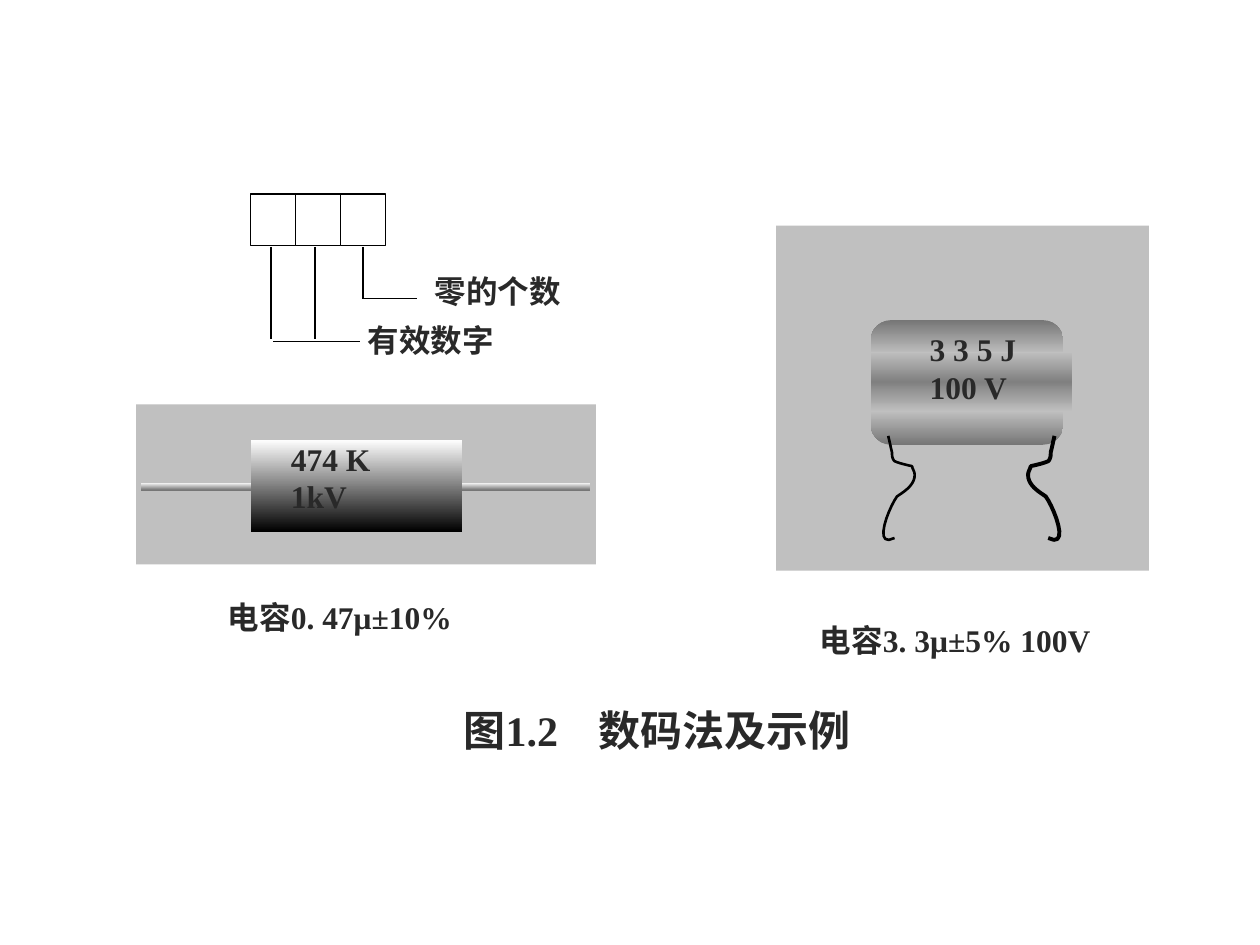
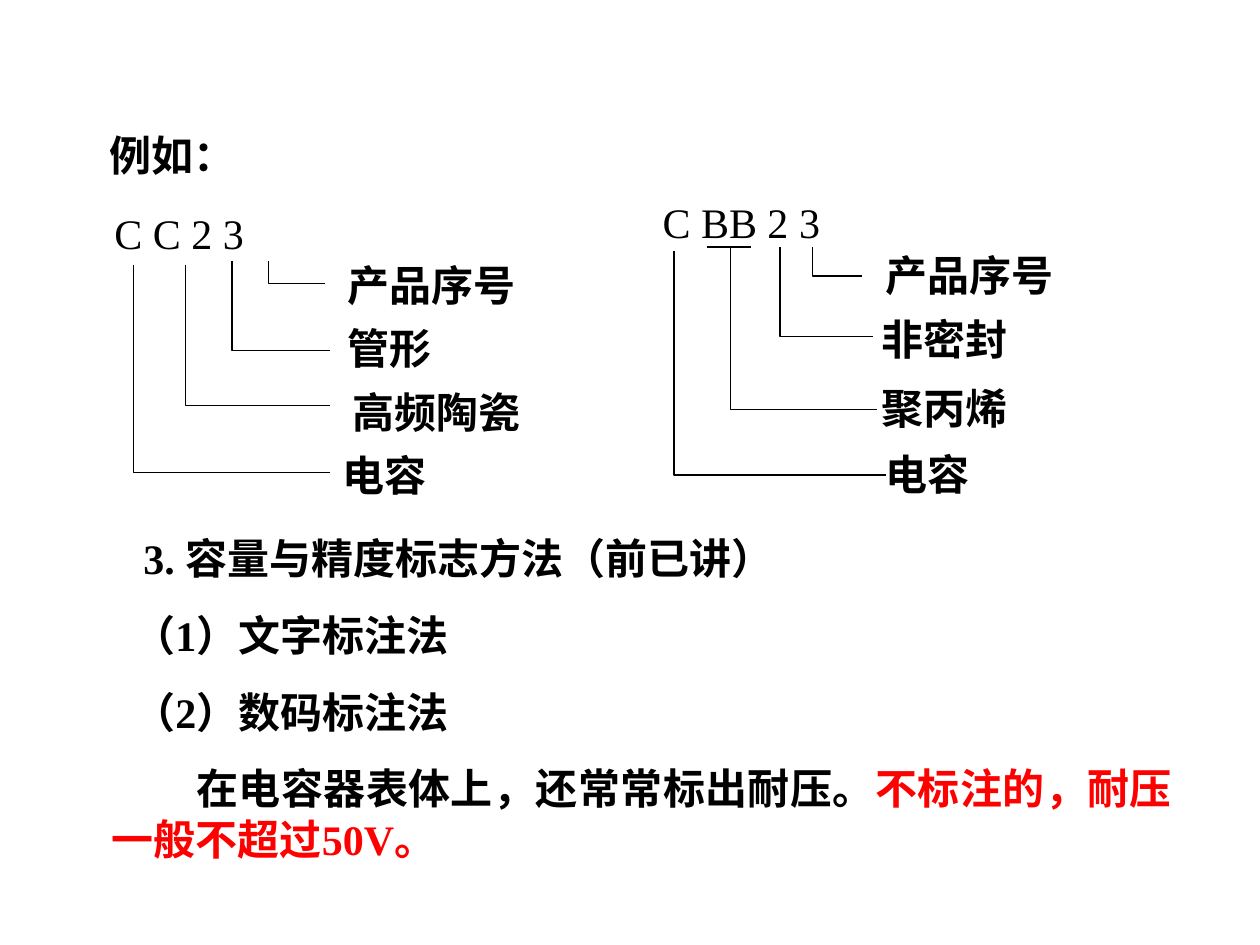
"""Builds two slides on capacitor number codes and type designations."""
import dataclasses

import pptx
import pptx.dml.color
import pptx.enum.dml
import pptx.enum.shapes
import pptx.enum.text
import pptx.oxml
import pptx.oxml.ns
import pptx.util

Inches = pptx.util.Inches
Pt = pptx.util.Pt
Align = pptx.enum.text.PP_ALIGN
Shape = pptx.enum.shapes.MSO_SHAPE


@dataclasses.dataclass(frozen=True)
class Theme:
    """Colours, type and line sizes shared by both slides."""
    font: str = "Times New Roman"
    ink: str = "000000"
    text: str = "292929"
    accent: str = "FF0000"
    paper: str = "FFFFFF"
    panel: str = "C0C0C0"
    steel: str = "767676"
    band: str = "808080"
    label_size: int = 18
    body_size: int = 24
    hairline: float = 0.75
    paragraph_gap: int = 15


THEME = Theme()

CAPTION = ("图1.2\t数码法及示例", (3.58, 5.54, 3.58, 0.56))
CAPTION_TAB = 1.07
DIGIT_ROW = {"left": 1.99, "top": 1.54, "size": (0.36, 0.41), "pitch": 0.355, "count": 3}
DIGIT_LINES = [
    (2.88, 1.96, 2.88, 2.37),
    (2.88, 2.37, 3.31, 2.37),
    (2.15, 1.96, 2.15, 2.69),
    (2.5, 1.96, 2.5, 2.69),
    (2.17, 2.71, 2.86, 2.71),
]
CAPACITOR_PARTS = [
    (Shape.RECTANGLE, (1.08, 3.21, 3.65, 1.27), [THEME.panel]),
    (Shape.RECTANGLE, (1.12, 3.83, 3.56, 0.06), [THEME.paper, THEME.steel]),
    (Shape.RECTANGLE, (1.99, 3.49, 1.68, 0.73), [THEME.paper, THEME.ink]),
    (Shape.RECTANGLE, (6.16, 1.79, 2.96, 2.74), [THEME.panel]),
    (Shape.ROUNDED_RECTANGLE, (6.91, 2.54, 1.53, 0.99), [THEME.steel, THEME.paper, THEME.steel]),
    (Shape.RECTANGLE, (6.91, 2.79, 1.6, 0.48), [THEME.panel, THEME.band, THEME.panel]),
]
LEAD_AXIS = 7.71
LEAD_WIDTHS = {1: 2.25, -1: 1.5}
LEAD_CURVE = [
    (8.37, 3.46), (8.36, 3.5), (8.35, 3.55), (8.34, 3.59),
    (8.34, 3.61), (8.34, 3.64), (8.32, 3.66),
    (8.28, 3.68), (8.18, 3.7), (8.18, 3.7),
    (8.18, 3.72), (8.16, 3.74), (8.16, 3.77),
    (8.16, 3.85), (8.24, 3.9), (8.3, 3.94),
    (8.36, 4.02), (8.5, 4.36), (8.32, 4.27),
]
CODE_LABELS = [
    (["零的个数"], (3.35, 2.11, 1.28, 0.49)),
    (["有效数字"], (2.82, 2.5, 1.26, 0.54)),
    (["474 K", "1kV"], (2.21, 3.44, 1.19, 0.82)),
    (["电容0. 47μ±10%"], (1.71, 4.7, 2.27, 0.56)),
    (["3 3 5 J", "100 V"], (7.28, 2.57, 1.23, 0.88)),
    (["电容3. 3μ±5% 100V"], (6.41, 4.88, 2.66, 0.6)),
]

EXAMPLE_TITLE = ("例如：", (0.77, 0.98, 1.69, 0.5))
DESIGNATIONS = [
    {"code": "C C 2 3", "at": (0.81, 1.6, 2.31, 0.5), "fields": [
        ("产品序号", (2.66, 2.01), (2.13, 2.07, 2.58, 2.25)),
        ("管形", (2.66, 2.51), (1.84, 2.07, 2.62, 2.78)),
        ("高频陶瓷", (2.7, 3.02), (1.47, 2.1, 2.62, 3.22)),
        ("电容", (2.62, 3.52), (1.06, 2.1, 2.62, 3.75)),
    ]},
    {"code": "C BB 2 3", "at": (5.16, 1.51, 3.81, 0.5), "fields": [
        ("产品序号", (6.93, 1.93), (6.45, 1.96, 6.84, 2.19)),
        ("非密封", (6.9, 2.44), (6.19, 1.96, 6.93, 2.67)),
        ("聚丙烯", (6.9, 2.99), (5.8, 1.96, 6.96, 3.25)),
        ("电容", (6.93, 3.51), (5.35, 1.99, 7.03, 3.77)),
    ]},
]
FIELD_SIZE = (1.6, 0.5)
MATERIAL_UNDERLINE = (5.61, 1.96, 5.96, 1.96)
METHODS_AT = (0.79, 4.18, 8.61, 2.73)
METHODS = [
    (0.25, [("3. 容量与精度标志方法（前已讲）", THEME.ink)]),
    (0.17, [("（1）文字标注法", THEME.ink)]),
    (0.17, [("（2）数码标注法", THEME.ink)]),
    (0.67, [("在电容器表体上，还常常标出耐压。", THEME.ink),
            ("不标注的，耐压一般不超过50V。", THEME.accent)]),
]


def rgb(color):
    """Turns a hex string into a colour object."""
    return pptx.dml.color.RGBColor.from_string(color)


def inches(values):
    """Converts plain numbers to lengths."""
    return [Inches(value) for value in values]


def style_paragraph(para, size, color, bold=True, align=Align.LEFT):
    """Sets the type of a whole paragraph."""
    para.alignment = align
    para.font.name = THEME.font
    para.font.size = Pt(size)
    para.font.bold = bold
    if color:
        para.font.color.rgb = rgb(color)


def add_text(page, lines, at, size, color, bold=True):
    """Adds a wrapped text box with one paragraph per line."""
    box = page.shapes.add_textbox(*inches(at))
    box.text_frame.word_wrap = True
    box.text_frame.text = "\n".join(lines)
    for para in box.text_frame.paragraphs:
        style_paragraph(para, size, color, bold)


def place_title(page, text, at, color, tab=None):
    """Moves and formats the title placeholder."""
    title = page.shapes.title
    title.left, title.top, title.width, title.height = inches(at)
    frame = title.text_frame
    frame.word_wrap = True
    frame.auto_size = pptx.enum.text.MSO_AUTO_SIZE.NONE
    frame.vertical_anchor = pptx.enum.text.MSO_ANCHOR.TOP
    frame.text = text
    para = frame.paragraphs[0]
    if tab:
        tabs = pptx.oxml.ns.qn("a:tabLst")
        stops = para._p.get_or_add_pPr().makeelement(tabs, {})
        para._p.get_or_add_pPr().append(stops)
        stop = stops.makeelement(pptx.oxml.ns.qn("a:tab"), {"pos": str(Inches(tab)), "algn": "l"})
        stops.append(stop)
    style_paragraph(para, THEME.body_size, color)


def paint(shape, colors):
    """Fills a shape with one colour or an even vertical gradient."""
    if len(colors) == 1:
        shape.fill.solid()
        shape.fill.fore_color.rgb = rgb(colors[0])
        return
    shape.fill.gradient()
    shape.fill.gradient_angle = 270
    stops = shape._element.spPr.find(".//" + pptx.oxml.ns.qn("a:gsLst"))
    for stop in list(stops):
        stops.remove(stop)
    for index, color in enumerate(colors):
        position = 100000 * index // (len(colors) - 1)
        stops.append(pptx.oxml.parse_xml(
            f'<a:gs {pptx.oxml.ns.nsdecls("a")} pos="{position}"><a:srgbClr val="{color}"/></a:gs>'))


def draw_outline(shape, width=THEME.hairline):
    """Gives a shape or connector a plain dark line."""
    shape.line.color.rgb = rgb(THEME.ink)
    shape.line.width = Pt(width)


def add_block(page, kind, at, colors):
    """Adds a filled preset shape without line or shadow."""
    block = page.shapes.add_shape(kind, *inches(at))
    block.shadow.inherit = False
    block.line.fill.background()
    paint(block, colors)
    return block


def add_line(page, ends):
    """Adds a straight hairline."""
    kind = pptx.enum.shapes.MSO_CONNECTOR.STRAIGHT
    line = page.shapes.add_connector(kind, *inches(ends))
    draw_outline(line)
    effects = pptx.oxml.ns.qn("a:effectLst")
    properties = line._element.spPr
    properties.append(properties.makeelement(effects, {}))


def add_open_path(page, points, width=THEME.hairline):
    """Adds an unfilled open outline through the points."""
    start, *rest = [inches(point) for point in points]
    builder = page.shapes.build_freeform(*start)
    builder.add_line_segments(rest, close=False)
    outline = builder.convert_to_shape()
    outline.shadow.inherit = False
    outline.fill.background()
    draw_outline(outline, width)


def sample_curve(controls, steps=10):
    """Returns points along a chain of cubic curves."""
    points = [controls[0]]
    for first in range(0, len(controls) - 1, 3):
        segment = controls[first:first + 4]
        for step in range(1, steps + 1):
            t = step / steps
            weights = ((1 - t) ** 3, 3 * t * (1 - t) ** 2, 3 * t ** 2 * (1 - t), t ** 3)
            points.append(tuple(
                sum(weight * point[axis] for weight, point in zip(weights, segment))
                for axis in (0, 1)))
    return points


def build_number_code(page):
    """Draws the digit code and the two marked capacitors."""
    for index in range(DIGIT_ROW["count"]):
        left = DIGIT_ROW["left"] + index * DIGIT_ROW["pitch"]
        at = (left, DIGIT_ROW["top"], *DIGIT_ROW["size"])
        draw_outline(add_block(page, Shape.RECTANGLE, at, [THEME.paper]))
    for ends in DIGIT_LINES:
        add_line(page, ends)
    for kind, at, colors in CAPACITOR_PARTS:
        add_block(page, kind, at, colors)
    lead = sample_curve(LEAD_CURVE)
    for side, width in LEAD_WIDTHS.items():
        add_open_path(page, [(LEAD_AXIS + side * (x - LEAD_AXIS), y) for x, y in lead], width)
    for lines, at in CODE_LABELS:
        add_text(page, lines, at, THEME.label_size, THEME.text)
    place_title(page, *CAPTION, THEME.text, CAPTION_TAB)


def build_designations(page):
    """Draws the two type designations and the marking methods."""
    place_title(page, *EXAMPLE_TITLE, THEME.ink)
    for designation in DESIGNATIONS:
        add_text(page, [designation["code"]], designation["at"], THEME.body_size, THEME.ink, False)
        for label, corner, (left, top, right, bottom) in designation["fields"]:
            add_open_path(page, [(left, top), (left, bottom), (right, bottom)])
            add_text(page, [label], corner + FIELD_SIZE, THEME.body_size, THEME.ink)
    add_line(page, MATERIAL_UNDERLINE)
    frame = page.shapes.add_textbox(*inches(METHODS_AT)).text_frame
    frame.word_wrap = True
    for index, (indent, spans) in enumerate(METHODS):
        para = frame.add_paragraph() if index else frame.paragraphs[0]
        if index:
            para.space_before = Pt(THEME.paragraph_gap)
        para._p.get_or_add_pPr().set("indent", str(Inches(indent)))
        style_paragraph(para, THEME.body_size, None, align=Align.JUSTIFY)
        for text, color in spans:
            span = para.add_run()
            span.text = text
            span.font.color.rgb = rgb(color)


def main():
    """Builds and saves the deck."""
    deck = pptx.Presentation()
    deck.slide_width, deck.slide_height = Inches(10), Inches(7.5)
    title_only = deck.slide_layouts[5]
    for build in (build_number_code, build_designations):
        build(deck.slides.add_slide(title_only))
    deck.save("out.pptx")


if __name__ == "__main__":
    main()
